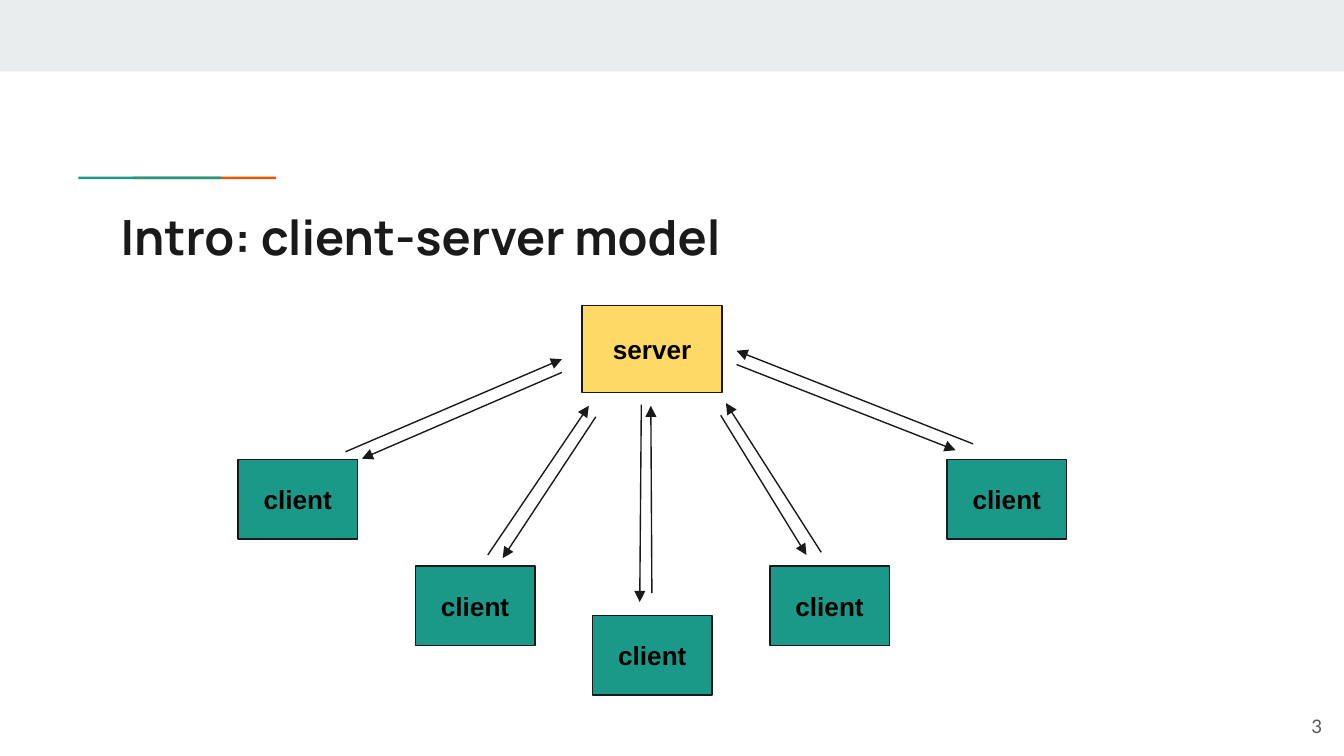
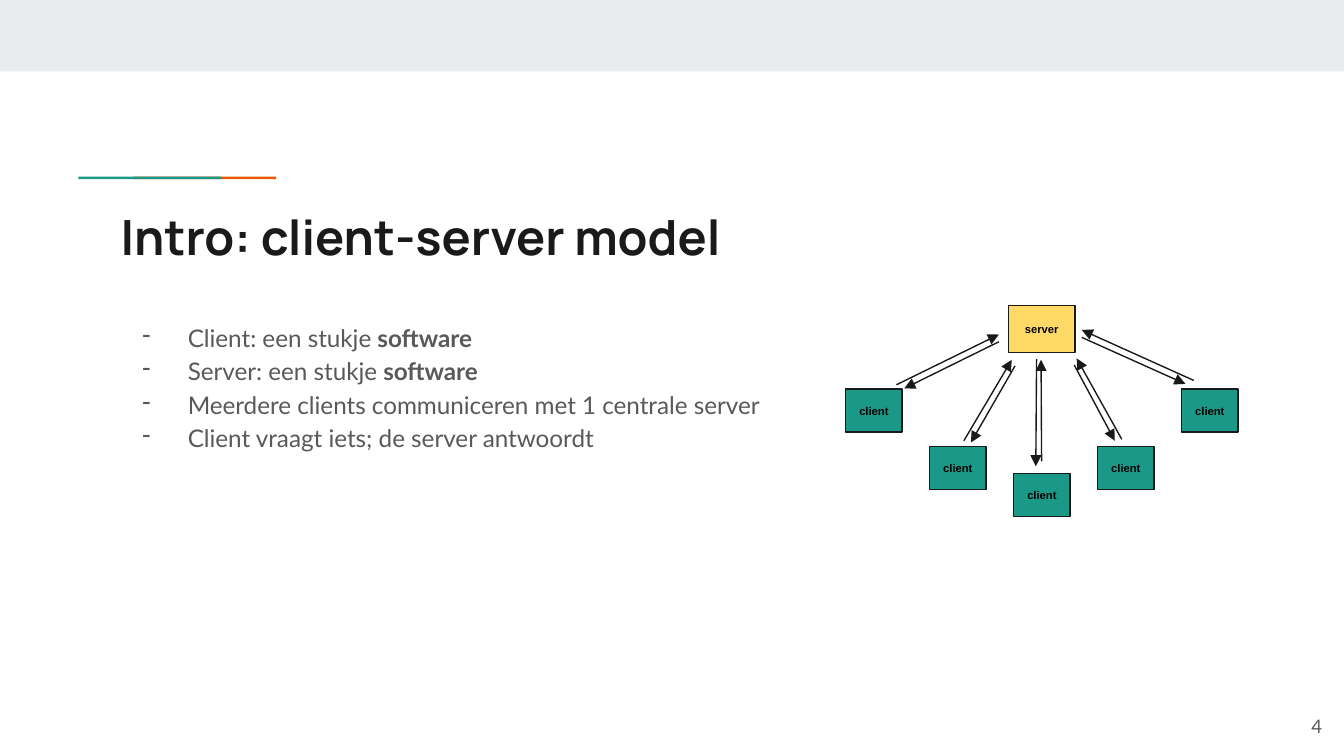
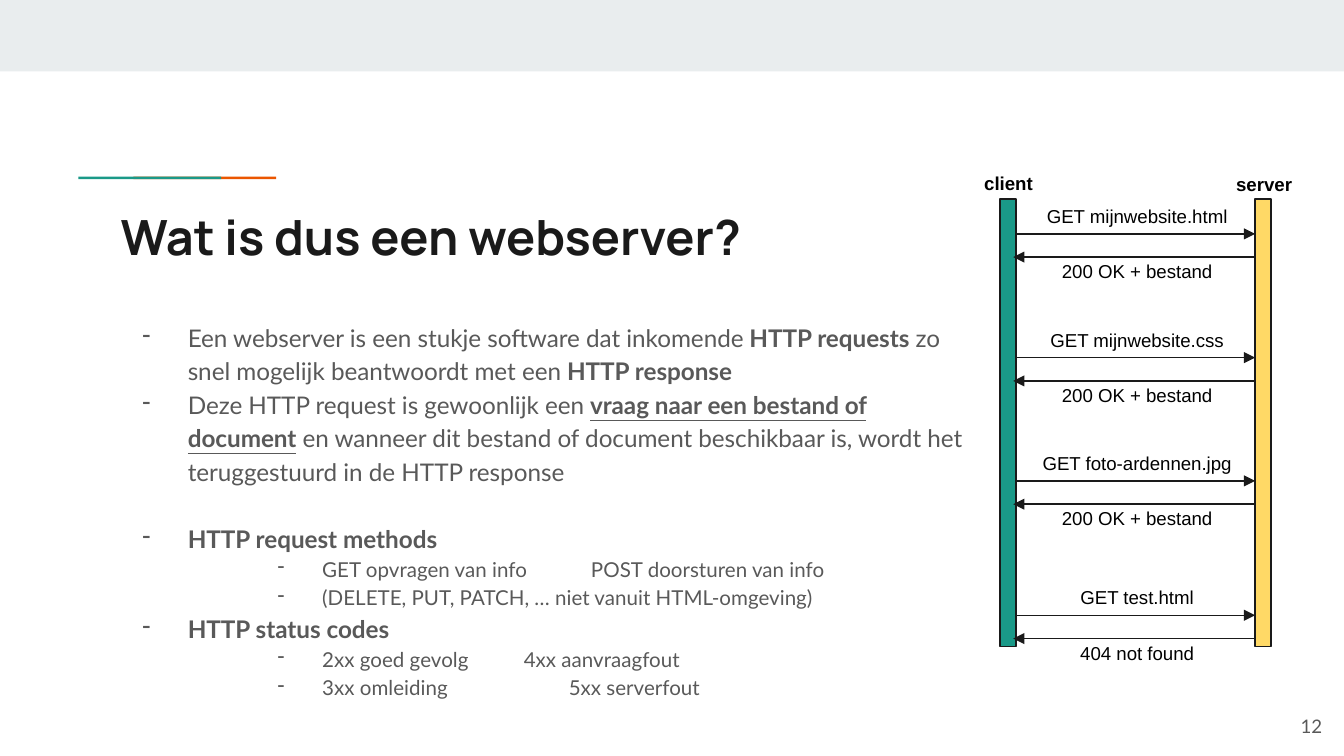
from lxml.etree import SubElement
from pptx import Presentation
from pptx.dml.color import RGBColor
from pptx.enum.shapes import MSO_CONNECTOR as Connector, MSO_SHAPE as Shape
from pptx.enum.text import MSO_ANCHOR as Anchor, MSO_AUTO_SIZE as AutoSize, PP_ALIGN as Align
from pptx.oxml.ns import qn
from pptx.util import Cm, Pt

TEAL = RGBColor(0x1A, 0x99, 0x88)
ORANGE = RGBColor(0xEB, 0x56, 0x00)
YELLOW = RGBColor(0xFF, 0xD9, 0x66)
BAND = RGBColor(0xE9, 0xED, 0xEE)
INK = RGBColor(0x1A, 0x1A, 0x1A)
GREY = RGBColor(0x59, 0x59, 0x59)
BLACK = RGBColor(0x00, 0x00, 0x00)

TITLE_FONT = "Manrope"
BODY_FONT = "Lato"
DIAGRAM_FONT = "Arial"
INSET = Cm(0.25)
TITLE_ONLY = 5

NETWORK_WIDTH, NETWORK_HEIGHT = 15.66, 7.37
SERVER_SIZE = (2.65, 1.65)
CLIENT_SIZE = (2.26, 1.5)
CLIENT_STEP = 3.35
CLIENT_TOPS = [2.92, 4.93, 5.87, 4.93, 2.92]
NETWORK_ARROWS = [
    (2.03, 2.77, 6.12, 1.02),
    (6.12, 1.27, 2.34, 2.9),
    (7.62, 1.88, 7.59, 5.61),
    (7.82, 5.44, 7.8, 1.9),
    (4.72, 4.72, 6.63, 1.9),
    (6.76, 2.11, 5, 4.78),
    (11.02, 4.67, 9.22, 1.85),
    (9.12, 2.08, 10.74, 4.72),
    (13.89, 2.62, 9.42, 0.86),
    (9.42, 1.12, 13.56, 2.74),
]

EXCHANGES = [
    (4.42, "GET mijnwebsite.html", "200 OK + bestand"),
    (6.76, "GET mijnwebsite.css", "200 OK + bestand"),
    (9.09, "GET foto-ardennen.jpg", "200 OK + bestand"),
    (11.63, "GET test.html", "404 not found"),
]


def format_run(run, font, size, color, bold=False, underline=False):
    run.font.name = font
    run.font.size = Pt(size)
    run.font.color.rgb = color
    run.font.bold = bold
    run.font.underline = underline


def set_frame(text_frame, anchor=Anchor.TOP, wrap=True):
    text_frame.margin_left = text_frame.margin_right = INSET
    text_frame.margin_top = text_frame.margin_bottom = INSET
    text_frame.vertical_anchor = anchor
    text_frame.auto_size = AutoSize.NONE
    text_frame.word_wrap = wrap


def write_line(text_frame, text, align, *style):
    text_frame.text = text
    paragraph = text_frame.paragraphs[0]
    paragraph.alignment = align
    format_run(paragraph.runs[0], *style)


def add_rectangle(slide, left, top, width, height, fill, outlined=False):
    shape = slide.shapes.add_shape(Shape.RECTANGLE, Cm(left), Cm(top), Cm(width), Cm(height))
    shape.shadow.inherit = False
    shape.fill.solid()
    shape.fill.fore_color.rgb = fill
    if outlined:
        shape.line.color.rgb = INK
        shape.line.width = Pt(0.75)
    else:
        shape.line.fill.background()
    return shape


def add_node(slide, left, top, width, height, fill, text, size):
    shape = add_rectangle(slide, left, top, width, height, fill, outlined=True)
    set_frame(shape.text_frame, Anchor.MIDDLE, wrap=False)
    write_line(shape.text_frame, text, Align.CENTER, DIAGRAM_FONT, size, BLACK, True)


def add_text_box(slide, left, top, width, height, anchor=Anchor.TOP):
    box = slide.shapes.add_textbox(Cm(left), Cm(top), Cm(width), Cm(height))
    set_frame(box.text_frame, anchor)
    return box.text_frame


def add_label(slide, left, top, width, text, bold=False):
    text_frame = add_text_box(slide, left, top, width, 0.97)
    write_line(text_frame, text, Align.CENTER, DIAGRAM_FONT, 10, BLACK, bold)


def add_arrow(slide, start_x, start_y, end_x, end_y):
    connector = slide.shapes.add_connector(
        Connector.STRAIGHT, Cm(start_x), Cm(start_y), Cm(end_x), Cm(end_y))
    connector.line.color.rgb = INK
    connector.line.width = Pt(0.75)
    properties = connector._element.spPr
    SubElement(properties.find(qn("a:ln")), qn("a:tailEnd"), type="triangle")
    SubElement(properties, qn("a:effectLst"))


def add_base_slide(presentation, title_text, number):
    slide = presentation.slides.add_slide(presentation.slide_layouts[TITLE_ONLY])
    add_rectangle(slide, 0, 0, 25.4, 1.35, BAND)
    for left, color in ((2.52, ORANGE), (1.48, TEAL)):
        add_rectangle(slide, left, 3.34, 2.7, 0.05, color)
    title = slide.shapes.title
    title.left, title.top, title.width, title.height = Cm(2.03), Cm(3.66), Cm(21.36), Cm(1.5)
    set_frame(title.text_frame)
    write_line(title.text_frame, title_text, Align.LEFT, TITLE_FONT, 26, INK, True)
    number_frame = add_text_box(slide, 23.72, 13.18, 1.52, 1.09, Anchor.MIDDLE)
    write_line(number_frame, str(number), Align.RIGHT, BODY_FONT, 10, GREY)
    return slide


def format_bullet(paragraph, margin, hanging, tab):
    properties = paragraph._p.get_or_add_pPr()
    properties.set("marL", str(Cm(margin)))
    properties.set("indent", str(-Cm(hanging)))
    color = SubElement(properties, qn("a:buClr"))
    SubElement(color, qn("a:srgbClr"), val=str(GREY))
    SubElement(properties, qn("a:buChar"), char="-")
    if tab:
        tabs = SubElement(properties, qn("a:tabLst"))
        SubElement(tabs, qn("a:tab"), pos=str(Cm(tab)), algn="l")


def add_bullet(text_frame, *parts, sub=False, space_before=0, tab=None):
    paragraph = text_frame.paragraphs[0]
    if paragraph.runs:
        paragraph = text_frame.add_paragraph()
    paragraph.alignment = Align.LEFT
    paragraph.level = 2 if sub else 0
    paragraph.line_spacing = 1.15
    paragraph.space_before = Pt(space_before)
    format_bullet(paragraph, *((3.81, 0.84) if sub else (1.27, 0.86)), tab)
    for text, style in parts:
        run = paragraph.add_run()
        run.text = text
        format_run(run, BODY_FONT, 11 if sub else 13, GREY, "b" in style, "u" in style)


def add_network(slide, left, top, width, height, size):
    scale_x, scale_y = width / NETWORK_WIDTH, height / NETWORK_HEIGHT

    def place(x, y):
        return left + x * scale_x, top + y * scale_y

    def node(x, y, box_size, fill, text):
        box_width, box_height = box_size
        add_node(slide, *place(x, y), box_width * scale_x, box_height * scale_y, fill, text, size)

    node(6.5, 0, SERVER_SIZE, YELLOW, "server")
    for index, client_top in enumerate(CLIENT_TOPS):
        node(index * CLIENT_STEP, client_top, CLIENT_SIZE, TEAL, "client")
    for start_x, start_y, end_x, end_y in NETWORK_ARROWS:
        add_arrow(slide, *place(start_x, start_y), *place(end_x, end_y))


def add_sequence(slide):
    for left, color in ((23.72, YELLOW), (18.9, TEAL)):
        add_rectangle(slide, left, 3.76, 0.3, 8.46, color, outlined=True)
    add_label(slide, 17.93, 3, 2.26, "client", True)
    add_label(slide, 22.76, 3.02, 2.26, "server", True)
    for y, request, response in EXCHANGES:
        add_arrow(slide, 19.2, y, 23.72, y)
        add_arrow(slide, 23.7, y + 0.44, 19.15, y + 0.44)
        add_label(slide, 19.28, y - 0.8, 4.42, request)
        add_label(slide, 19.28, y + 0.25, 4.42, response)


def build_model_slide(presentation):
    slide = add_base_slide(presentation, "Intro: client-server model", 3)
    add_network(slide, 4.5, 5.77, NETWORK_WIDTH, NETWORK_HEIGHT, 14)


def build_explanation_slide(presentation):
    slide = add_base_slide(presentation, "Intro: client-server model", 4)
    body = add_text_box(slide, 2.03, 5.77, 21.36, 6.27)
    add_bullet(body, ("Client: een stukje ", ""), ("software", "b"))
    add_bullet(body, ("Server: een stukje ", ""), ("software", "b"))
    add_bullet(body, ("Meerdere clients communiceren met 1 centrale server", ""))
    add_bullet(body, ("Client vraagt iets; de server antwoordt", ""))
    add_network(slide, 15.98, 5.77, 7.42, 4, 6)


def build_webserver_slide(presentation):
    slide = add_base_slide(presentation, "Wat is dus een webserver?", 12)
    body = add_text_box(slide, 2.03, 5.77, 16.61, 6.27)
    add_bullet(
        body,
        ("Een webserver is een stukje software dat inkomende ", ""),
        ("HTTP requests", "b"),
        (" zo snel mogelijk beantwoordt met een ", ""),
        ("HTTP response", "b"))
    add_bullet(
        body,
        ("Deze HTTP request is gewoonlijk een ", ""),
        ("vraag naar een bestand of document", "bu"),
        (" en wanneer dit bestand of document beschikbaar is, wordt het "
         "teruggestuurd in de HTTP response", ""))
    add_bullet(body, ("HTTP request methods", "b"), space_before=18)
    add_bullet(body, ("GET opvragen van info\tPOST doorsturen van info", ""), sub=True, tab=6.35)
    add_bullet(body, ("(DELETE, PUT, PATCH, … niet vanuit HTML-omgeving)", ""), sub=True)
    add_bullet(body, ("HTTP status codes", "b"))
    add_bullet(body, ("2xx goed gevolg\t4xx aanvraagfout", ""), sub=True, tab=6.35)
    add_bullet(body, ("3xx omleiding\t5xx serverfout", ""), sub=True, tab=8.47)
    add_sequence(slide)


def main():
    presentation = Presentation()
    presentation.slide_width = Cm(25.4)
    presentation.slide_height = Cm(14.29)
    build_model_slide(presentation)
    build_explanation_slide(presentation)
    build_webserver_slide(presentation)
    presentation.save("out.pptx")


if __name__ == "__main__":
    main()
